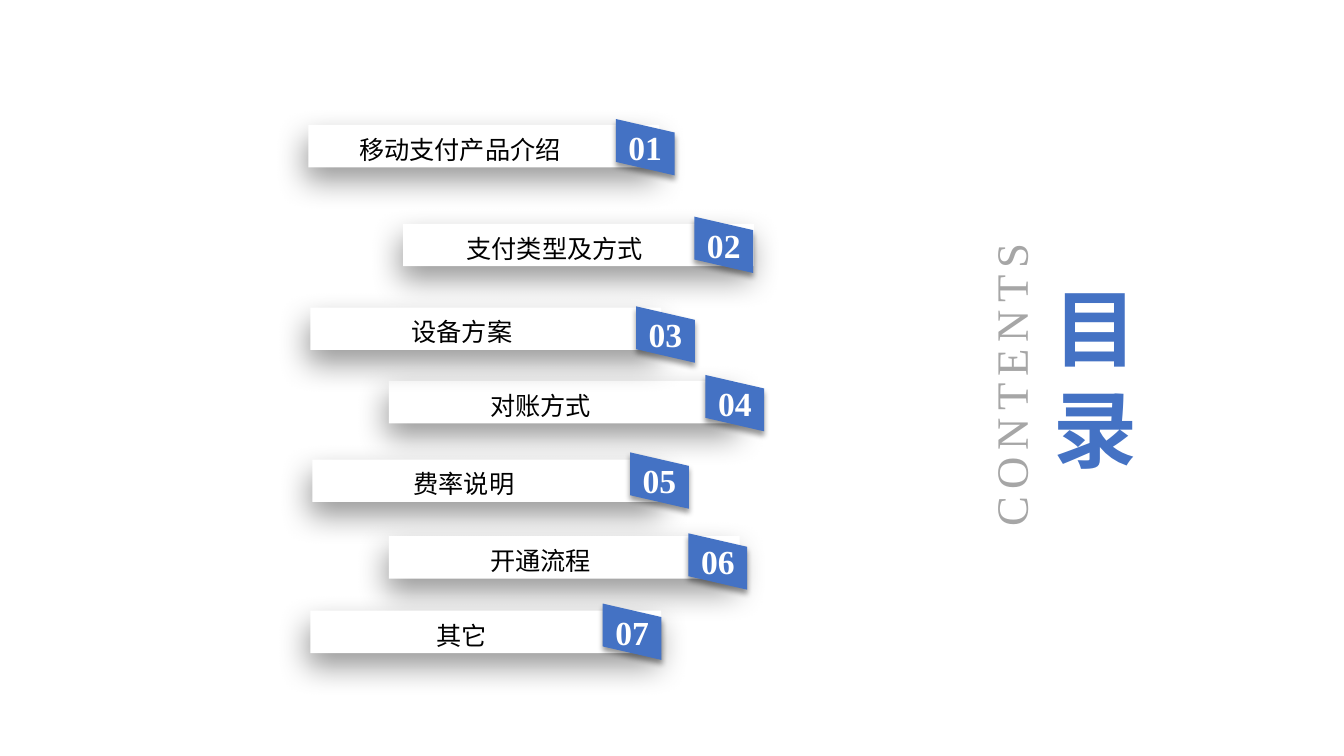
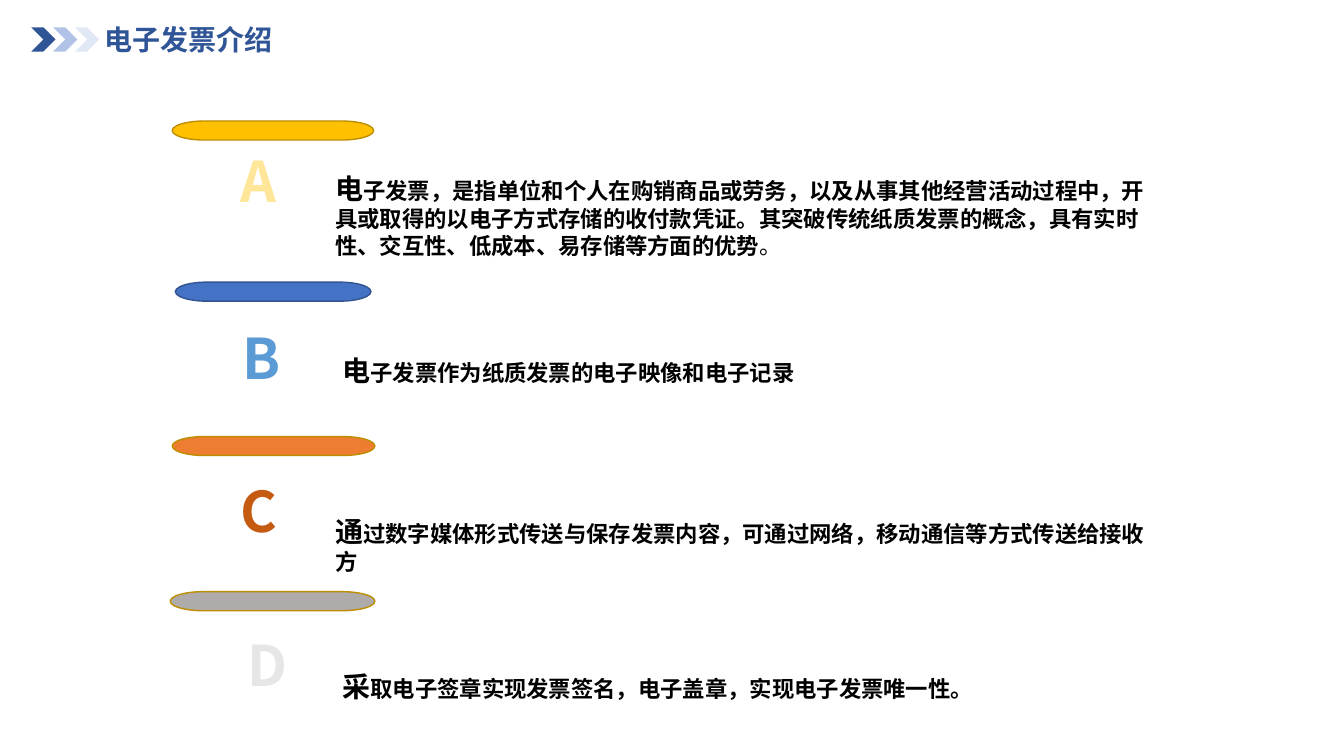
import dataclasses
import typing

import lxml.etree
import pptx
import pptx.dml.color
import pptx.dml.fill
import pptx.enum.shapes
import pptx.enum.text
import pptx.oxml.ns
import pptx.presentation
import pptx.shapes.autoshape
import pptx.shapes.base
import pptx.slide
import pptx.text.text
import pptx.util

Cm = pptx.util.Cm
Pt = pptx.util.Pt
qn = pptx.oxml.ns.qn
Align = pptx.enum.text.PP_ALIGN
Anchor = pptx.enum.text.MSO_ANCHOR
Preset = pptx.enum.shapes.MSO_SHAPE

CHINESE_FONT = "Noto Sans CJK SC"
NUMBER_FONT = "Times New Roman"
BLUE = "4472C4"
DARK_BLUE = "2F5597"
WHITE = "FFFFFF"
BLACK = "000000"
GREY = "A6A6A6"
GOLD_LINE = "BD8E00"

BAR_WIDTH, BAR_HEIGHT = 8.84, 1.07
TAB_WIDTH, TAB_HEIGHT, TAB_DROP = 1.48, 1.42, 0.34
CHEVRON_LEFT, CHEVRON_STEP, CHEVRON_TOP, CHEVRON_SIZE = 0.79, 0.55, 0.69, 0.61
PILL_HEIGHT, LETTER_HEIGHT, BODY_WIDTH = 0.48, 1.96, 21.01


class Box(typing.NamedTuple):
    left: float
    top: float
    width: float
    height: float

    def lengths(self) -> list[pptx.util.Length]:
        return [Cm(value) for value in self]


class Shadow(typing.NamedTuple):
    blur: float
    distance: float
    direction: int


BAR_SHADOW = Shadow(22, 10, 101)
TAB_SHADOW = Shadow(4, 3, 90)
TITLE_SHADOW = Shadow(3, 4, 45)


@dataclasses.dataclass(frozen=True)
class Chapter:
    number: str
    name: str
    bar_left: float
    bar_top: float
    tab_left: float
    tab_top: float


@dataclasses.dataclass(frozen=True)
class Point:
    letter: str
    letter_color: str
    letter_left: float
    letter_top: float
    letter_width: float
    pill_color: str
    pill_line: str
    pill_left: float
    pill_top: float
    pill_width: float
    body_left: float
    body_top: float
    body_height: float
    initial: str
    body: str
    ending: str = ""


CHAPTERS = [
    Chapter("01", "移动支付产品介绍", 7.77, 3.15, 15.52, 3),
    Chapter("02", "支付类型及方式", 10.16, 5.64, 17.5, 5.46),
    Chapter("04", "对账方式", 9.8, 9.6, 17.78, 9.45),
    Chapter("03", "设备方案", 7.82, 7.75, 16.03, 7.72),
    Chapter("05", "费率说明", 7.87, 11.58, 15.88, 11.4),
    Chapter("06", "开通流程", 9.8, 13.51, 17.35, 13.44),
    Chapter("07", "其它", 7.82, 15.39, 15.19, 15.21),
]

POINTS = [
    Point("A", "FFE699", 5.59, 3.58, 1.85, "FFC000", GOLD_LINE, 4.34, 3.05, 5.08,
          8.2, 4.19, 2.46, "电",
          "子发票，是指单位和个人在购销商品或劳务，以及从事其他经营活动过程中，"
          "开具或取得的以电子方式存储的收付款凭证。其突破传统纸质发票的概念，"
          "具有实时性、交互性、低成本、易存储等方面的优势", "。"),
    Point("B", "5B9BD5", 5.82, 8.03, 1.55, BLUE, "325491", 4.42, 7.11, 4.93,
          8.38, 8.79, 1.12, "电", "子发票作为纸质发票的电子映像和电子记录"),
    Point("C", "C55A11", 5.74, 11.89, 1.55, "ED7D31", GOLD_LINE, 4.34, 11, 5.11,
          8.2, 12.85, 1.8, "通",
          "过数字媒体形式传送与保存发票内容，可通过网络，移动通信等方式传送给接收方"),
    Point("D", "E7E6E6", 5.97, 15.77, 1.55, "AFABAB", GOLD_LINE, 4.29, 14.91, 5.16,
          8.38, 16.74, 1.12, "采", "取电子签章实现发票签名，电子盖章，实现电子发票唯一性。"),
]

CHEVRONS = [(DARK_BLUE, 100), ("8FAADC", 70), ("B4C7E7", 40)]


def color(value: str) -> pptx.dml.color.RGBColor:
    return pptx.dml.color.RGBColor.from_string(value)


def paint(fill: pptx.dml.fill.FillFormat, value: str) -> None:
    fill.solid()
    fill.fore_color.rgb = color(value)


def add_shadow(effects: lxml.etree._Element, shadow: Shadow) -> None:
    outer = lxml.etree.SubElement(
        effects, qn("a:outerShdw"), blurRad=str(Pt(shadow.blur)),
        dist=str(Pt(shadow.distance)), dir=str(shadow.direction * 60000),
        algn="t", rotWithShape="0")
    shade = lxml.etree.SubElement(outer, qn("a:srgbClr"), val=BLACK)
    lxml.etree.SubElement(shade, qn("a:alpha"), val="40000")


def style_shape(shape: pptx.shapes.autoshape.Shape, fill: str,
                line: str | None = None, shadow: Shadow | None = None) -> None:
    paint(shape.fill, fill)
    if line:
        shape.line.color.rgb = color(line)
        shape.line.width = Pt(1)
    else:
        shape.line.fill.background()
    shape.shadow.inherit = False
    if shadow:
        add_shadow(shape._element.spPr.find(qn("a:effectLst")), shadow)


def style_paragraph(paragraph: pptx.text.text._Paragraph, size: float, value: str,
                    bold: bool = False, name: str = CHINESE_FONT,
                    alignment: Align = Align.LEFT) -> None:
    paragraph.alignment = alignment
    font = paragraph.font
    font.size = Pt(size)
    font.bold = bold
    font.color.rgb = color(value)
    font.name = name
    defaults = paragraph._p.pPr.find(qn("a:defRPr"))
    lxml.etree.SubElement(defaults, qn("a:ea"), typeface=name)


def set_insets(frame: pptx.text.text.TextFrame, left: float, top: float,
               right: float, bottom: float) -> None:
    frame.margin_left, frame.margin_top = Cm(left), Cm(top)
    frame.margin_right, frame.margin_bottom = Cm(right), Cm(bottom)


def add_text_box(slide: pptx.slide.Slide, box: Box) -> pptx.shapes.autoshape.Shape:
    shape = slide.shapes.add_textbox(*box.lengths())
    shape.text_frame.word_wrap = True
    return shape


def set_title(slide: pptx.slide.Slide, text: str, box: Box, size: float, value: str,
              anchor: Anchor) -> pptx.shapes.base.BaseShape:
    title = slide.shapes.title
    title.left, title.top, title.width, title.height = box.lengths()
    frame = title.text_frame
    frame.text = text
    frame.word_wrap = True
    frame.auto_size = pptx.enum.text.MSO_AUTO_SIZE.NONE
    frame.vertical_anchor = anchor
    style_paragraph(frame.paragraphs[0], size, value, bold=True)
    return title


def add_chapter(slide: pptx.slide.Slide, chapter: Chapter) -> None:
    box = Box(chapter.bar_left, chapter.bar_top, BAR_WIDTH, BAR_HEIGHT)
    bar = slide.shapes.add_shape(Preset.RECTANGLE, *box.lengths())
    style_shape(bar, WHITE, shadow=BAR_SHADOW)
    set_insets(bar.text_frame, 0.3, 0, 1.5, 0)
    bar.text_frame.text = chapter.name
    paragraph = bar.text_frame.paragraphs[0]
    paragraph.line_spacing = 1.2
    style_paragraph(paragraph, 18, BLACK, alignment=Align.CENTER)

    left, top = chapter.tab_left, chapter.tab_top
    right, bottom = left + TAB_WIDTH, top + TAB_HEIGHT
    builder = slide.shapes.build_freeform(Cm(left), Cm(top))
    corners = [(left, bottom - TAB_DROP), (right, bottom), (right, top + TAB_DROP)]
    builder.add_line_segments([(Cm(x), Cm(y)) for x, y in corners], close=True)
    tab = builder.convert_to_shape()
    style_shape(tab, BLUE, shadow=TAB_SHADOW)
    tab.text_frame.text = chapter.number
    tab.text_frame.vertical_anchor = Anchor.MIDDLE
    style_paragraph(tab.text_frame.paragraphs[0], 24, WHITE, True, NUMBER_FONT,
                    Align.CENTER)


def build_contents(slide: pptx.slide.Slide) -> None:
    for chapter in CHAPTERS:
        add_chapter(slide, chapter)

    caption = add_text_box(slide, Box(20.65, 8.86, 9.6, 1.68))
    caption.rotation = 270
    frame = caption.text_frame
    frame.word_wrap = False
    frame.vertical_anchor = Anchor.MIDDLE
    frame.text = "CONTENTS"
    paragraph = frame.paragraphs[0]
    style_paragraph(paragraph, 32, GREY, name=NUMBER_FONT, alignment=Align.CENTER)
    paragraph.runs[0]._r.get_or_add_rPr().set("spc", "500")

    title = set_title(slide, "目录", Box(26.29, 7.85, 1.55, 3.33), 60, BLUE,
                      Anchor.MIDDLE)
    properties = title.text_frame.paragraphs[0].runs[0]._r.get_or_add_rPr()
    add_shadow(lxml.etree.SubElement(properties, qn("a:effectLst")), TITLE_SHADOW)


def add_chevrons(slide: pptx.slide.Slide) -> None:
    for index, (value, opacity) in enumerate(CHEVRONS):
        box = Box(CHEVRON_LEFT + index * CHEVRON_STEP, CHEVRON_TOP,
                  CHEVRON_SIZE, CHEVRON_SIZE)
        chevron = slide.shapes.add_shape(Preset.CHEVRON, *box.lengths())
        style_shape(chevron, value)
        shade = chevron._element.spPr.find(qn("a:solidFill")).find(qn("a:srgbClr"))
        lxml.etree.SubElement(shade, qn("a:alpha"), val=str(opacity * 1000))


def add_point(slide: pptx.slide.Slide, point: Point) -> None:
    pill_box = Box(point.pill_left, point.pill_top, point.pill_width, PILL_HEIGHT)
    pill = slide.shapes.add_shape(Preset.FLOWCHART_TERMINATOR, *pill_box.lengths())
    style_shape(pill, point.pill_color, point.pill_line)

    body = add_text_box(
        slide, Box(point.body_left, point.body_top, BODY_WIDTH, point.body_height))
    paragraph = body.text_frame.paragraphs[0]
    style_paragraph(paragraph, 16, BLACK, bold=True)
    initial = paragraph.add_run()
    initial.text = point.initial
    initial.font.size = Pt(20)
    paragraph.add_run().text = point.body
    if point.ending:
        ending = paragraph.add_run()
        ending.text = point.ending
        ending.font.bold = False

    letter = add_text_box(
        slide, Box(point.letter_left, point.letter_top, point.letter_width, LETTER_HEIGHT))
    letter.text_frame.text = point.letter
    style_paragraph(letter.text_frame.paragraphs[0], 40, point.letter_color, True,
                    alignment=Align.CENTER)


def build_invoice(slide: pptx.slide.Slide) -> None:
    title = set_title(slide, "电子发票介绍", Box(2.46, 0.46, 8.61, 1.04), 20, DARK_BLUE,
                      Anchor.TOP)
    set_insets(title.text_frame, 0.18, 0.1, 0.18, 0.1)
    add_chevrons(slide)
    for point in POINTS:
        add_point(slide, point)


def main() -> None:
    presentation = pptx.Presentation()
    presentation.slide_width, presentation.slide_height = Cm(33.87), Cm(19.05)
    title_only = presentation.slide_layouts[5]
    for build in (build_contents, build_invoice):
        build(presentation.slides.add_slide(title_only))
    presentation.save("out.pptx")


if __name__ == "__main__":
    main()
